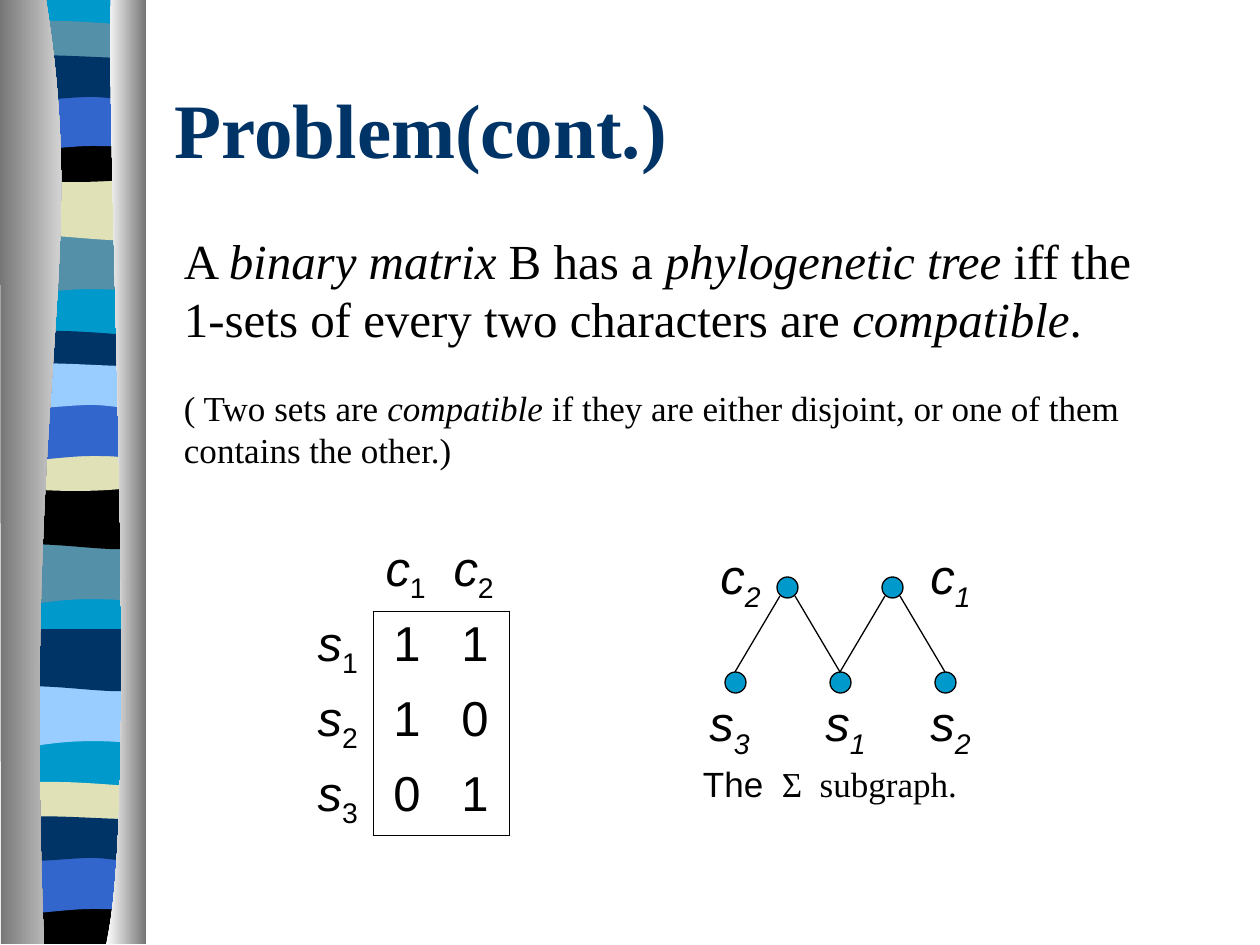
from lxml.etree import SubElement
from pptx import Presentation
from pptx.dml.color import RGBColor
from pptx.enum.shapes import MSO_CONNECTOR, MSO_SHAPE
from pptx.enum.text import MSO_ANCHOR, PP_ALIGN
from pptx.oxml.ns import qn
from pptx.util import Emu, Pt

PX = 914400 / 126
BLACK = RGBColor(0x00, 0x00, 0x00)
WHITE = RGBColor(0xFF, 0xFF, 0xFF)
CYAN = RGBColor(0x00, 0x99, 0xCC)
TEAL = RGBColor(0x54, 0x90, 0xA8)
SAND = RGBColor(0xE1, 0xE1, 0xB7)
BLUE = RGBColor(0x33, 0x66, 0xCC)
NAVY = RGBColor(0x00, 0x33, 0x66)
SKY = RGBColor(0x99, 0xCC, 0xFF)
GREY = RGBColor(0x76, 0x76, 0x76)
SERIF, SANS = "Times New Roman", "Arial"

deck = Presentation()
deck.slide_width, deck.slide_height = Emu(round(1260 * PX)), Emu(round(945 * PX))
page = deck.slides.add_slide(deck.slide_layouts[5])
ribbon = page.shapes.add_group_shape()


def add_outline(top, start, steps):
    """Add a closed outline; a step of 2 numbers is a line, of 6 a Bezier curve."""
    numbers = [n for step in steps for n in step]
    points = [(x * PX, (y + top) * PX) for x, y in zip(numbers[::2], numbers[1::2])]
    builder = ribbon.shapes.build_freeform(start[0] * PX, (start[1] + top) * PX)
    builder.add_line_segments(points, close=True)
    outline = builder.convert_to_shape()
    segments = iter(list(outline._element.iter(qn("a:lnTo"))))
    for step in steps:
        segment = next(segments)
        if len(step) == 6:
            segment.tag = qn("a:cubicBezTo")
            for _ in range(2):
                extra = next(segments)
                segment.append(extra[0])
                extra.getparent().remove(extra)
    outline.shadow.inherit = False
    outline.line.fill.background()
    return outline


def add_spans(para, spans, size):
    """Add runs of (text, font, marks): i, b, _ (subscript) or + (wide spacing)."""
    for text, font, marks in spans:
        span = para.add_run()
        span.text = text
        span.font.name, span.font.size = font, Pt(size)
        span.font.bold, span.font.italic = "b" in marks, "i" in marks
        span.font.color.rgb = NAVY if "b" in marks else BLACK
        if "_" in marks:
            span._r.get_or_add_rPr().set("baseline", "-25000")
        if "+" in marks:
            span._r.get_or_add_rPr().set("spc", "500")


# Ribbon: wavy bands, each outline used at several heights
backdrop = add_outline(0, (143, 0), [(143, 942), (7, 942), (7, 0)])
backdrop.fill.solid()
backdrop.fill.fore_color.rgb = CYAN

bands = [
    ((143, 0), [(143, 59), (49, 49, 30, 69, 7, 59), (7, 0)],
     [(233, TEAL), (543, TEAL), (685, SKY)]),
    ((143, 0), [(143, 59), (121, 69, 49, 52, 7, 59), (7, 0)],
     [(178, SAND), (487, BLACK), (629, NAVY)]),
    ((143, 6), [(143, 37), (121, 42, 30, 42, 7, 37), (7, 6),
                (15, 0, 37, 1, 59, 1), (82, 1, 126, 5, 143, 6)],
     [(20, TEAL), (330, NAVY), (781, SAND)]),
    ((143, 0), [(143, 40), (121, 48, 30, 48, 7, 40), (7, 0), (91, 6, 115, 0, 143, 0)],
     [(136, BLACK), (445, SAND)]),
    ((143, 0), [(143, 47), (7, 47), (7, 0), (91, 6, 115, 0, 143, 0)],
     [(897, BLACK)]),
    ((143, 0), [(143, 59), (122, 53, 113, 53, 91, 53), (68, 53, 28, 59, 7, 59), (7, 0)],
     [(93, BLUE), (403, BLUE), (856, BLUE)]),
    ((143, 6), [(143, 45), (135, 52, 113, 45, 91, 45), (68, 45, 21, 52, 7, 45),
                (7, 6), (26, 0, 100, 6, 122, 6)],
     [(52, NAVY), (360, SKY), (813, NAVY)]),
]
for start, steps, places in bands:
    for top, color in places:
        band = add_outline(top, start, steps)
        band.fill.solid()
        band.fill.fore_color.rgb = color

edges = [
    ((46, 0), [(90, 272, 22, 373, 44, 944), (1, 944), (0, 0)], GREY, WHITE),
    ((111, 0), [(106, 157, 140, 814, 106, 944), (146, 944), (146, 0)], WHITE, GREY),
]
for start, steps, left_color, right_color in edges:
    edge = add_outline(0, start, steps)
    edge.fill.gradient()
    edge.fill.gradient_angle = 0
    for stop, color in zip(edge.fill.gradient_stops, (left_color, right_color)):
        stop.color.rgb = color

# Title
title = page.shapes.title
title.left, title.top, title.width, title.height = (
    Emu(round(n * PX)) for n in (162, 49, 1071, 158))
title.text_frame.vertical_anchor = MSO_ANCHOR.MIDDLE
title.text_frame.paragraphs[0].alignment = PP_ALIGN.LEFT
add_spans(title.text_frame.paragraphs[0], [("Problem(cont.)", SERIF, "b")], 44)

# Text boxes: place, alignment, inset, paragraphs of (size, space before, spans)
statement = [("A ", SERIF, ""), ("binary matrix", SERIF, "i"), (" B has a ", SERIF, ""),
             ("phylogenetic tree", SERIF, "i"),
             (" iff the 1-sets of every two characters are", SERIF, ""),
             (" compatible", SERIF, "i"), (".", SERIF, "")]
remark = [("( Two sets are ", SERIF, ""), ("compatible ", SERIF, "i"),
          ("if they are either disjoint, or one of them contains the other.)", SERIF, "")]
caption = [("The", SANS, ""), (" ", SANS, "+"), ("Σ", SERIF, ""), (" ", SERIF, "+"),
           ("subgraph.", SERIF, "")]
boxes = [
    ((184, 224, 981, 311), PP_ALIGN.LEFT, 6, [(28, 0, statement), (20, 22, remark)]),
    ((683, 757, 294, 53), PP_ALIGN.CENTER, 6, [(20, 0, caption)]),
]
for letter, number, x, y in [("c", "2", 704, 546), ("c", "1", 914, 546), ("s", "3", 693, 693),
                             ("s", "1", 809, 693), ("s", "2", 914, 693)]:
    label = [(letter, SANS, "i"), (number, SANS, "i_")]
    boxes.append(((x, y, 73, 53), PP_ALIGN.CENTER, 0, [(28, 0, label)]))
for place, alignment, inset, paras in boxes:
    box = page.shapes.add_textbox(*(Emu(round(n * PX)) for n in place))
    frame = box.text_frame
    frame.word_wrap = True
    frame.margin_left = frame.margin_right = 0
    frame.margin_top = frame.margin_bottom = Emu(round(inset * PX))
    for i, (size, space, spans) in enumerate(paras):
        para = frame.add_paragraph() if i else frame.paragraphs[0]
        para.alignment = alignment
        para.space_before = Pt(space)
        add_spans(para, spans, size)

# Subgraph: two characters above three species
for x, y in [(777, 577), (882, 577), (725, 672), (830, 672), (935, 672)]:
    node = page.shapes.add_shape(
        MSO_SHAPE.OVAL, *(Emu(round(n * PX)) for n in (x, y, 21, 21)))
    node.shadow.inherit = False
    node.fill.solid()
    node.fill.fore_color.rgb = CYAN
    node.line.color.rgb = BLACK
    node.line.width = Pt(0.75)
for ends in [(795, 596, 840, 672), (900, 596, 945, 672),
             (780, 596, 735, 672), (885, 596, 840, 672)]:
    link = page.shapes.add_connector(
        MSO_CONNECTOR.STRAIGHT, *(Emu(round(n * PX)) for n in ends))
    link.line.color.rgb = BLACK
    link.line.width = Pt(0.75)
    SubElement(link._element.spPr, qn("a:effectLst"))

# Binary matrix, framed around its values
matrix = [["", "c1", "c2"], ["s1", "1", "1"], ["s2", "1", "0"], ["s3", "0", "1"]]
table = page.shapes.add_table(
    4, 3, *(Emu(round(n * PX)) for n in (305, 536, 204, 300))).table
table.first_row = table.horz_banding = False
for column in table.columns:
    column.width = Emu(round(68 * PX))
for r, row in enumerate(matrix):
    table.rows[r].height = Emu(round(75 * PX))
    for c, text in enumerate(row):
        cell = table.cell(r, c)
        cell.margin_bottom = 0
        para = cell.text_frame.paragraphs[0]
        if r and c:
            para.alignment = PP_ALIGN.CENTER
            add_spans(para, [(text, SANS, "")], 28)
        elif text:
            add_spans(para, [(text[0], SANS, "i"), (text[1], SANS, "_")], 28)
        framed = {"lnL": r and c == 1, "lnR": r and c in (0, 2),
                  "lnT": c and r == 1, "lnB": c and r in (0, 3)}
        properties = cell._tc.get_or_add_tcPr()
        for side, shown in framed.items():
            border = SubElement(properties, qn(f"a:{side}"), w=str(Pt(0.45)))
            if shown:
                color = SubElement(SubElement(border, qn("a:solidFill")), qn("a:srgbClr"))
                color.set("val", str(BLACK))
            else:
                SubElement(border, qn("a:noFill"))
        cell.fill.background()

deck.save("out.pptx")
